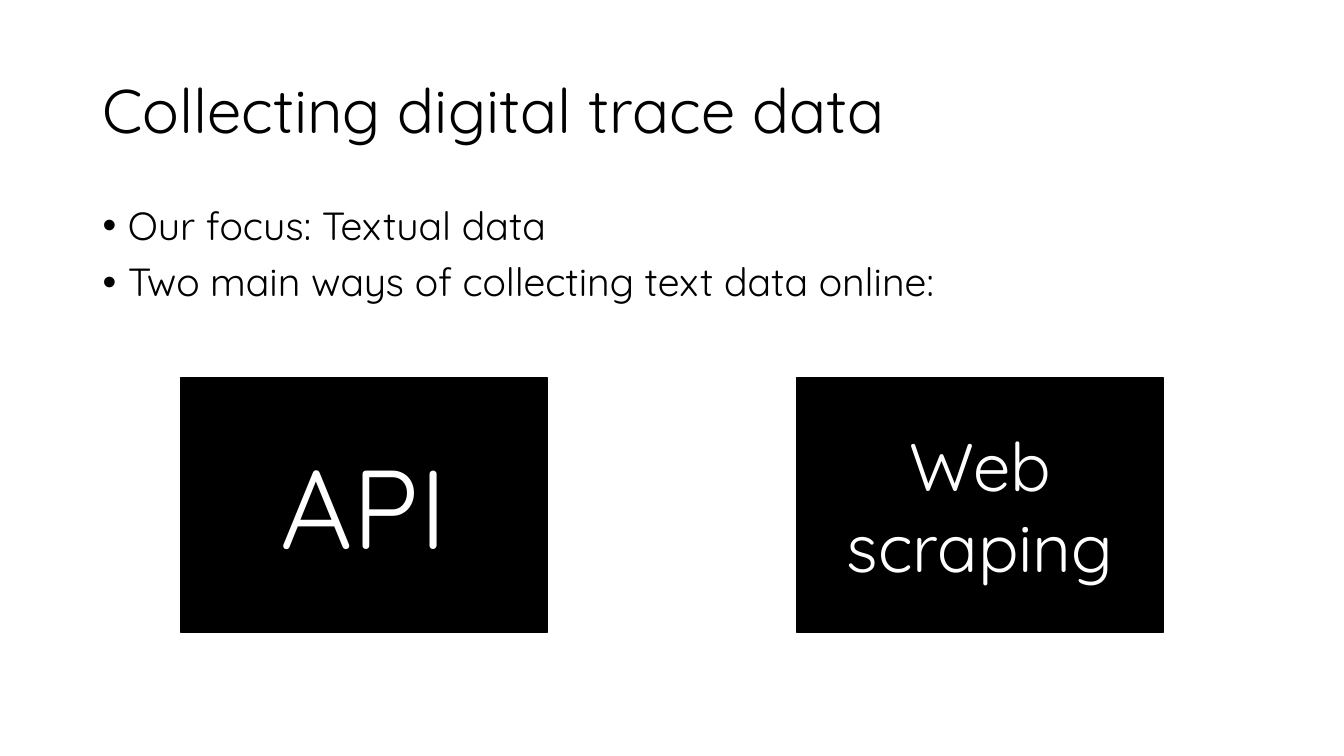
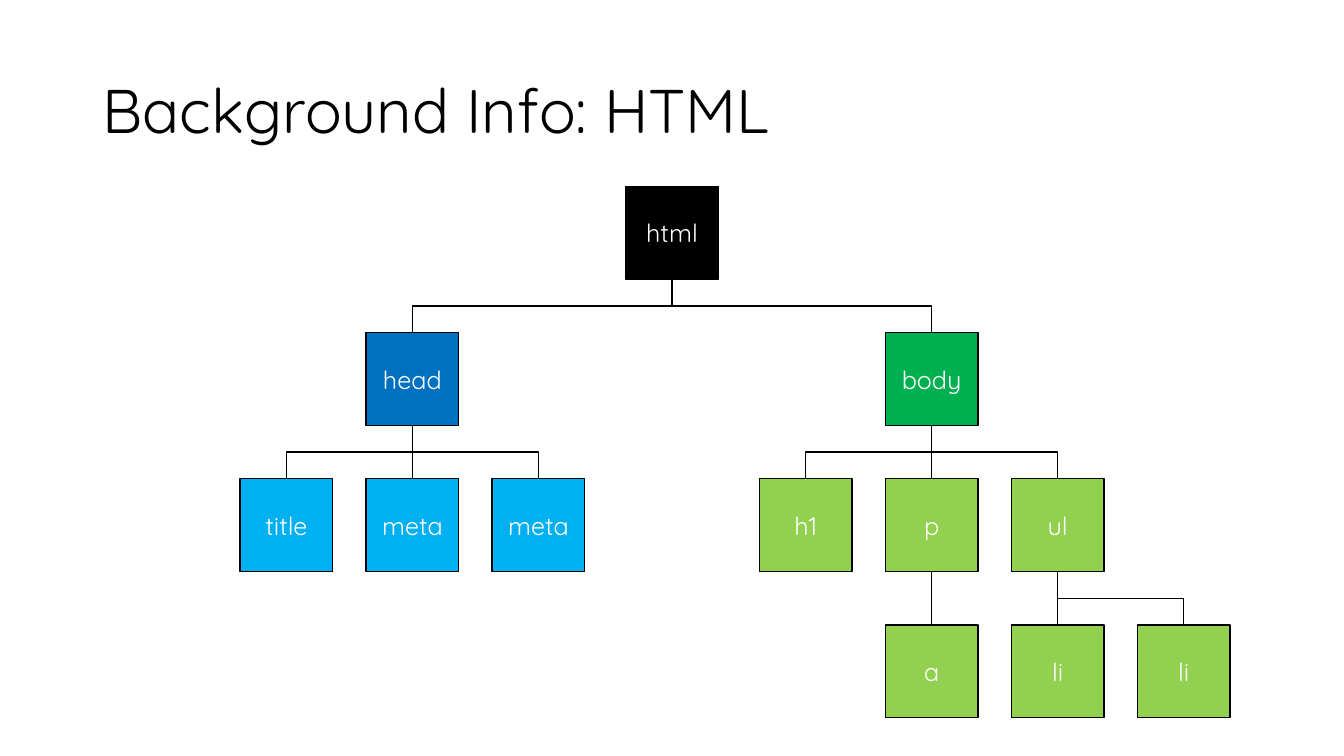
import pptx
import pptx.dml.color
import pptx.enum.shapes
import pptx.enum.text
import pptx.oxml.ns
import pptx.oxml.xmlchemy
import pptx.util
from pptx.util import Inches

RGB = pptx.dml.color.RGBColor.from_string
ALIGN = pptx.enum.text.PP_ALIGN
ANCHOR = pptx.enum.text.MSO_ANCHOR
CONNECTOR = pptx.enum.shapes.MSO_CONNECTOR
RECTANGLE = pptx.enum.shapes.MSO_SHAPE.RECTANGLE
qn = pptx.oxml.ns.qn
new_element = pptx.oxml.xmlchemy.OxmlElement

THEME = {
    "font": "Quicksand",
    "ink": RGB("000000"), "paper": RGB("FFFFFF"),
    "head": RGB("0070C0"), "head child": RGB("00B0F0"),
    "body": RGB("00B050"), "body child": RGB("92D050"),
    "title size": 44, "bullet size": 28, "node size": 18,
    "line width": pptx.util.Pt(1),
}
TITLE_FORMAT = {"line_spacing": 0.9}
BULLET_FORMAT = {"line_spacing": 0.9, "space_before": pptx.util.Pt(10)}
TILE_FORMAT = {"alignment": ALIGN.CENTER}


def write_text(box, lines, size, color, anchor, para_format):
    frame = box.text_frame
    frame.word_wrap = True
    frame.vertical_anchor = anchor
    for index, line in enumerate(lines):
        para = frame.paragraphs[0] if index == 0 else frame.add_paragraph()
        for name, value in para_format.items():
            setattr(para, name, value)
        span = para.add_run()
        span.text = line
        for name, value in {"name": THEME["font"], "size": pptx.util.Pt(size)}.items():
            setattr(span.font, name, value)
        span.font.color.rgb = color


def add_tile(page, left, top, width, height, fill, lines, size):
    tile = page.shapes.add_shape(
        RECTANGLE, Inches(left), Inches(top), Inches(width), Inches(height))
    tile.shadow.inherit = False
    tile.fill.solid()
    tile.fill.fore_color.rgb = fill
    tile.line.color.rgb = THEME["ink"]
    tile.line.width = THEME["line width"]
    write_text(tile, lines, size, THEME["paper"], ANCHOR.MIDDLE, TILE_FORMAT)
    return tile


deck = pptx.Presentation()
deck.slide_width, deck.slide_height = Inches(13.33), Inches(7.5)

# Pages with their titles
pages = []
for title in ("Collecting digital trace data", "Background Info: HTML"):
    page = deck.slides.add_slide(deck.slide_layouts[6])
    box = page.shapes.add_textbox(Inches(0.92), Inches(0.4), Inches(11.5), Inches(1.45))
    write_text(box, [title], THEME["title size"], THEME["ink"], ANCHOR.MIDDLE, TITLE_FORMAT)
    pages.append(page)
ways_page, tree_page = pages

# Bullets
box = ways_page.shapes.add_textbox(Inches(0.92), Inches(2), Inches(11.5), Inches(4.76))
write_text(box, ["Our focus: Textual data", "Two main ways of collecting text data online:"],
           THEME["bullet size"], THEME["ink"], ANCHOR.TOP, BULLET_FORMAT)
for para in box.text_frame.paragraphs:
    properties = para._p.get_or_add_pPr()
    properties.set("marL", str(Inches(0.25)))
    properties.set("indent", str(-Inches(0.25)))
    for tag, name, value in (("a:buFont", "typeface", "Arial"), ("a:buChar", "char", "•")):
        bullet = new_element(tag)
        bullet.set(name, value)
        properties.append(bullet)

# The two ways of collecting data
for left, lines, size in ((1.79, ["API"], 80), (7.9, ["Web", "scraping"], 48)):
    add_tile(ways_page, left, 3.75, 3.64, 2.52, THEME["ink"], lines, size)

# Tree nodes: key, label, parent, left edge, row, fill
SIDE, COLUMN_STEP, ROW_TOP, ROW_STEP = 0.92, 1.25, 1.85, 1.45
HEAD_LEFT, BODY_LEFT = 3.63, 8.78
nodes = [
    ("html", "html", None, (HEAD_LEFT + BODY_LEFT) / 2, 0, "ink"),
    ("head", "head", "html", HEAD_LEFT, 1, "head"),
    ("body", "body", "html", BODY_LEFT, 1, "body"),
    ("title", "title", "head", HEAD_LEFT - COLUMN_STEP, 2, "head child"),
    ("meta 1", "meta", "head", HEAD_LEFT, 2, "head child"),
    ("meta 2", "meta", "head", HEAD_LEFT + COLUMN_STEP, 2, "head child"),
    ("h1", "h1", "body", BODY_LEFT - COLUMN_STEP, 2, "body child"),
    ("p", "p", "body", BODY_LEFT, 2, "body child"),
    ("ul", "ul", "body", BODY_LEFT + COLUMN_STEP, 2, "body child"),
    ("a", "a", "p", BODY_LEFT, 3, "body child"),
    ("li 1", "li", "ul", BODY_LEFT + COLUMN_STEP, 3, "body child"),
    ("li 2", "li", "ul", BODY_LEFT + 2 * COLUMN_STEP, 3, "body child"),
]
tiles = {}
for key, label, parent, left, row, fill in nodes:
    tiles[key] = add_tile(tree_page, left, ROW_TOP + row * ROW_STEP, SIDE, SIDE,
                          THEME[fill], [label], THEME["node size"])

# Branches from the bottom of each parent to the top of its child
for key, label, parent, left, row, fill in nodes:
    if parent is None:
        continue
    upper, lower = tiles[parent], tiles[key]
    shift = lower.left - upper.left
    kind = CONNECTOR.ELBOW if shift else CONNECTOR.STRAIGHT
    branch = tree_page.shapes.add_connector(kind, 0, 0, 0, 0)
    branch.begin_connect(upper, 2)
    branch.end_connect(lower, 0)
    if shift:
        # A quarter turn makes the elbow leave its parent vertically
        start = upper.top + upper.height
        drop, reach = lower.top - start, abs(shift)
        middle_x = upper.left + (upper.width + shift) // 2
        middle_y = start + drop // 2
        geometry = {"left": middle_x - drop // 2, "top": middle_y - reach // 2,
                    "width": drop, "height": reach}
        for name, value in geometry.items():
            setattr(branch, name, value)
        frame = branch._element.spPr.find(qn("a:xfrm"))
        turn = {"rot": "16200000" if shift > 0 else "5400000",
                "flipH": "1" if shift > 0 else "0", "flipV": "0"}
        for name, value in turn.items():
            frame.set(name, value)
    branch.line.color.rgb = THEME["ink"]
    branch.line.width = THEME["line width"]
    branch._element.spPr.append(new_element("a:effectLst"))

deck.save("out.pptx")
